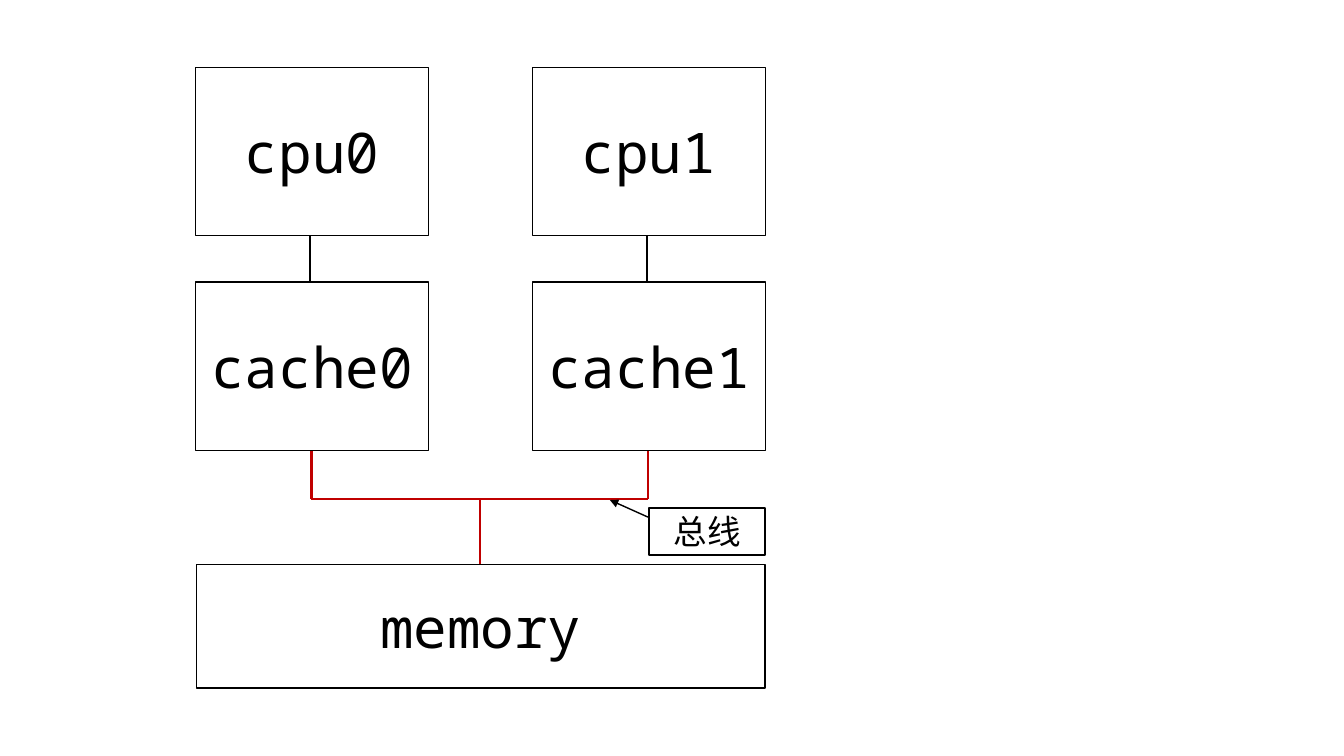
from lxml.etree import SubElement
from pptx import Presentation
from pptx.dml.color import RGBColor
from pptx.enum.shapes import MSO_CONNECTOR, MSO_SHAPE
from pptx.enum.text import MSO_ANCHOR, PP_ALIGN
from pptx.oxml.ns import qn
from pptx.util import Cm, Pt

COLORS = {"ink": "000000", "bus": "C00000"}
FONT = "Noto Sans Mono"

CORES = [("cpu0", "cache0"), ("cpu1", "cache1")]
MEMORY = "memory"
BUS_LABEL = "总线"

# Lengths in cm
LEFT, CORE_STEP = 4.93, 8.49
BOX_W, BOX_H = 5.87, 4.24
CPU_TOP, CACHE_TOP = 1.7, 7.11
LINK_DX, BUS_DX = 2.88, 2.92
BUS_Y = 12.57
MEMORY_BOX = (4.95, 14.22, 14.33, 3.12)
LABEL_BOX = (16.36, 12.8, 2.92, 1.19)
LABEL_ARROW = (16.33, 13.03, 15.37, 12.6)


def add_box(s, text, x, y, w, h, size=40, weight=1):
    """Add an outlined, unfilled rectangle with centred text."""
    sp = s.shapes.add_shape(MSO_SHAPE.RECTANGLE, Cm(x), Cm(y), Cm(w), Cm(h))
    sp.shadow.inherit = False
    sp.fill.background()
    sp.line.color.rgb = RGBColor.from_string(COLORS["ink"])
    sp.line.width = Pt(weight)
    tf = sp.text_frame
    tf.word_wrap = True
    tf.vertical_anchor = MSO_ANCHOR.MIDDLE
    p = tf.paragraphs[0]
    p.alignment = PP_ALIGN.CENTER
    r = p.add_run()
    r.text = text
    r.font.size = Pt(size)
    r.font.name = FONT
    r.font.color.rgb = RGBColor.from_string(COLORS["ink"])
    SubElement(r.font._element, qn("a:ea"), typeface=FONT)


def add_line(s, x1, y1, x2, y2, color="ink", weight=1.5, arrow=False):
    """Add a straight line, with an arrowhead at its end if asked."""
    cx = s.shapes.add_connector(MSO_CONNECTOR.STRAIGHT, Cm(x1), Cm(y1), Cm(x2), Cm(y2))
    cx.line.color.rgb = RGBColor.from_string(COLORS[color])
    cx.line.width = Pt(weight)
    if arrow:
        SubElement(cx.line._get_or_add_ln(), qn("a:tailEnd"), type="triangle")
    SubElement(cx._element.spPr, qn("a:effectLst"))


prs = Presentation()
prs.slide_width, prs.slide_height = Cm(33.87), Cm(19.05)
s = prs.slides.add_slide(prs.slide_layouts[6])

lefts = [LEFT + i * CORE_STEP for i in range(len(CORES))]
bus_xs = [x + BUS_DX for x in lefts]

for x in bus_xs:
    add_line(s, x, CACHE_TOP + BOX_H, x, BUS_Y, "bus")
add_line(s, bus_xs[0], BUS_Y, bus_xs[-1], BUS_Y, "bus")
bus_mid = sum(bus_xs) / len(bus_xs)
add_line(s, bus_mid, BUS_Y, bus_mid, MEMORY_BOX[1], "bus")

for x, (cpu, cache) in zip(lefts, CORES):
    add_box(s, cpu, x, CPU_TOP, BOX_W, BOX_H)
    add_line(s, x + LINK_DX, CPU_TOP + BOX_H, x + LINK_DX, CACHE_TOP)
    add_box(s, cache, x, CACHE_TOP, BOX_W, BOX_H)

add_box(s, MEMORY, *MEMORY_BOX)
add_line(s, *LABEL_ARROW, weight=1, arrow=True)
add_box(s, BUS_LABEL, *LABEL_BOX, size=24, weight=1.5)

prs.save("out.pptx")
